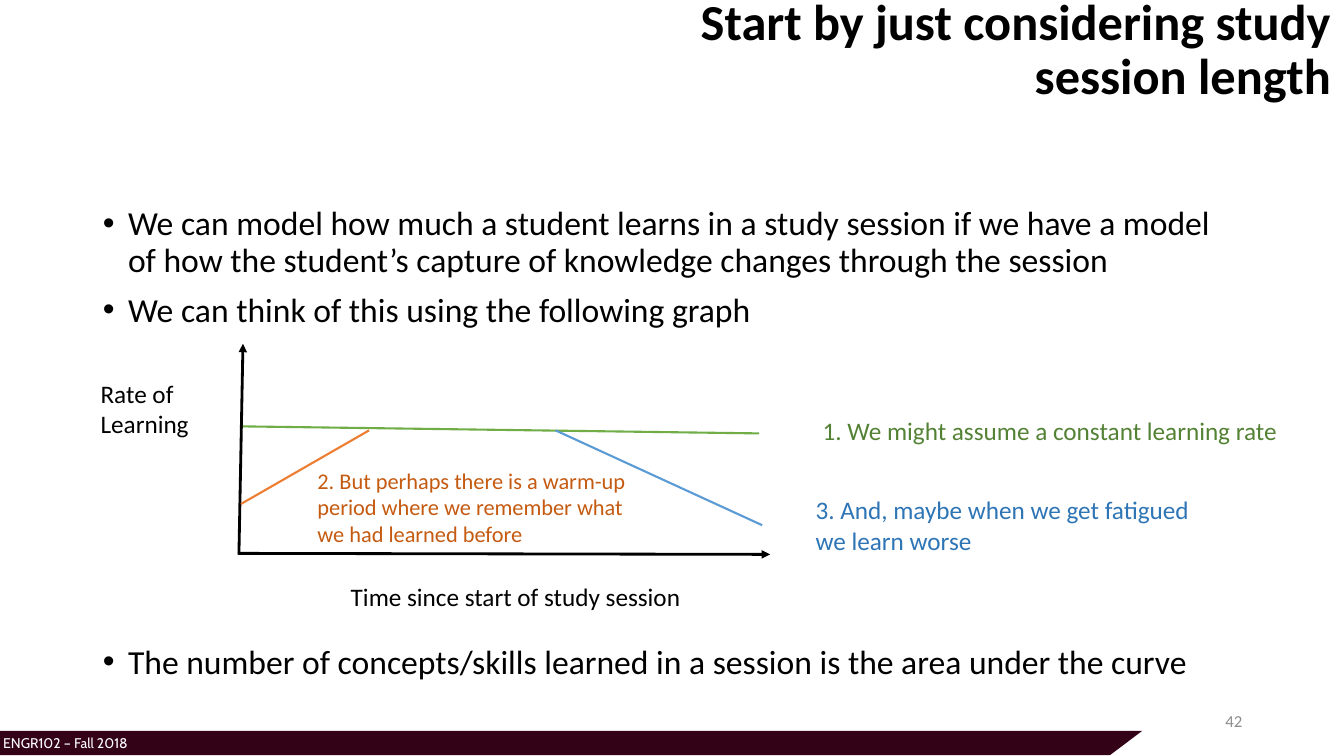
from lxml import etree
from pptx import Presentation
from pptx.dml.color import RGBColor
from pptx.enum.shapes import MSO_CONNECTOR as CONN
from pptx.enum.text import MSO_ANCHOR as ANCHOR, MSO_AUTO_SIZE as FIT, PP_ALIGN as ALIGN
from pptx.oxml.ns import qn
from pptx.util import Inches, Pt

COLORS = {
    "band": "330217", "white": "FFFFFF", "black": "000000", "gray": "8C8C8C",
    "green": "70AD47", "blue": "5B9BD5", "orange": "ED7D31",
    "dark_green": "548235", "dark_blue": "2E75B6", "dark_orange": "C55A11",
}

prs = Presentation()
prs.slide_width, prs.slide_height = Inches(13.33), Inches(7.5)
s = prs.slides.add_slide(prs.slide_layouts[1])


def grid(*lengths):
    """Turn x, y, x, y... in percent of the slide into slide units."""
    sides = (prs.slide_width, prs.slide_height)
    return [int(n * sides[i % 2] / 100) for i, n in enumerate(lengths)]


def write(sp, text, size, color, font="Calibri", align=ALIGN.LEFT):
    """Fill a shape with one paragraph per line of text."""
    tf = sp.text_frame
    tf.text = text
    for p in tf.paragraphs:
        p.alignment = align
        p.font.name, p.font.size = font, Pt(size)
        p.font.color.rgb = RGBColor.from_string(COLORS[color])
    return tf


# Footer band
corners = [grid(*c) for c in ((-0.1, 96.67), (85, 96.67), (82.6, 99.87), (-0.15, 99.87))]
builder = s.shapes.build_freeform(*corners[0], scale=1.0)
builder.add_line_segments(corners[1:], close=True)
band = builder.convert_to_shape()
band.shadow.inherit = False
band.fill.solid()
band.fill.fore_color.rgb = RGBColor.from_string(COLORS["band"])
band.line.fill.background()

# Title
title = s.shapes.title
title.left, title.top, title.width, title.height = grid(44.8, 0, 55, 13.47)
tf = write(title, "Start by just considering study session length", 36, "black", align=ALIGN.RIGHT)
tf.vertical_anchor, tf.auto_size = ANCHOR.MIDDLE, FIT.NONE
tf.paragraphs[0].font.bold = True
tf.paragraphs[0].line_spacing = 0.9

# Bullets, with room for the graph before the last one
body = s.placeholders[1]
body.left, body.top, body.width, body.height = grid(6.9, 26.67, 86.27, 66.13)
bullets = (
    "We can model how much a student learns in a study session if we have a model "
    "of how the student’s capture of knowledge changes through the session",
    "We can think of this using the following graph",
    "The number of concepts/skills learned in a session is the area under the curve",
)
tf = write(body, "\n".join(bullets), 24, "black")
tf.auto_size = FIT.NONE
for p, gap in zip(tf.paragraphs, (10, 10, 225.5)):
    p.line_spacing, p.space_before = 0.9, Pt(gap)
    pPr = p._p.get_or_add_pPr()
    pPr.set("marL", str(Inches(0.25)))
    pPr.set("indent", str(-Inches(0.25)))

# Graph axes (with arrowheads) and learning curves
lines = (
    (17.7, 73.2, 57.3, 73.33, "black", 2, True),
    (17.78, 73.33, 18.08, 45.47, "black", 2, True),
    (18.08, 56.4, 56.49, 57.33, "green", 1.5, False),
    (41.34, 56.93, 56.71, 69.47, "blue", 1.5, False),
    (17.93, 66.67, 27.46, 56.93, "orange", 1.5, False),
)
for *ends, color, width, arrow in lines:
    line = s.shapes.add_connector(CONN.STRAIGHT, *grid(*ends))
    line.line.color.rgb = RGBColor.from_string(COLORS[color])
    line.line.width = Pt(width)
    if arrow:
        etree.SubElement(line.line._get_or_add_ln(), qn("a:tailEnd"), type="triangle")
    etree.SubElement(line._element.spPr, qn("a:effectLst"))

# Axis and curve labels; the warm-up label is smaller to fit between the curves
labels = (
    (25.36, 76.27, 26.7, 5.33, 18, "black", "Time since start of study session"),
    (6.75, 49.33, 8.2, 9.47, 18, "black", "Rate of\nLearning"),
    (60.46, 54.27, 35.9, 5.33, 18, "dark_green", "1. We might assume a constant learning rate"),
    (59.94, 64.8, 30.1, 9.47, 18, "dark_blue",
     "3. And, maybe when we get fatigued\nwe learn worse"),
    (22.88, 61.07, 24.5, 12.13, 16, "dark_orange",
     "2. But perhaps there is a warm-up\nperiod where we remember what\nwe had learned before"),
)
for *box, size, color, text in labels:
    tf = write(s.shapes.add_textbox(*grid(*box)), text, size, color)
    tf.word_wrap = False

# Course name and page number
course = s.shapes.add_textbox(*grid(-0.5, 96.53, 56.26, 4))
write(course, "ENGR102 – Fall 2018", 10, "white", font="Cabin").word_wrap = True
page = s.shapes.add_textbox(*grid(70.67, 92.67, 22.5, 5.33))
tf = write(page, "42", 12, "gray", align=ALIGN.RIGHT)
tf.word_wrap, tf.vertical_anchor = True, ANCHOR.MIDDLE

prs.save("out.pptx")
